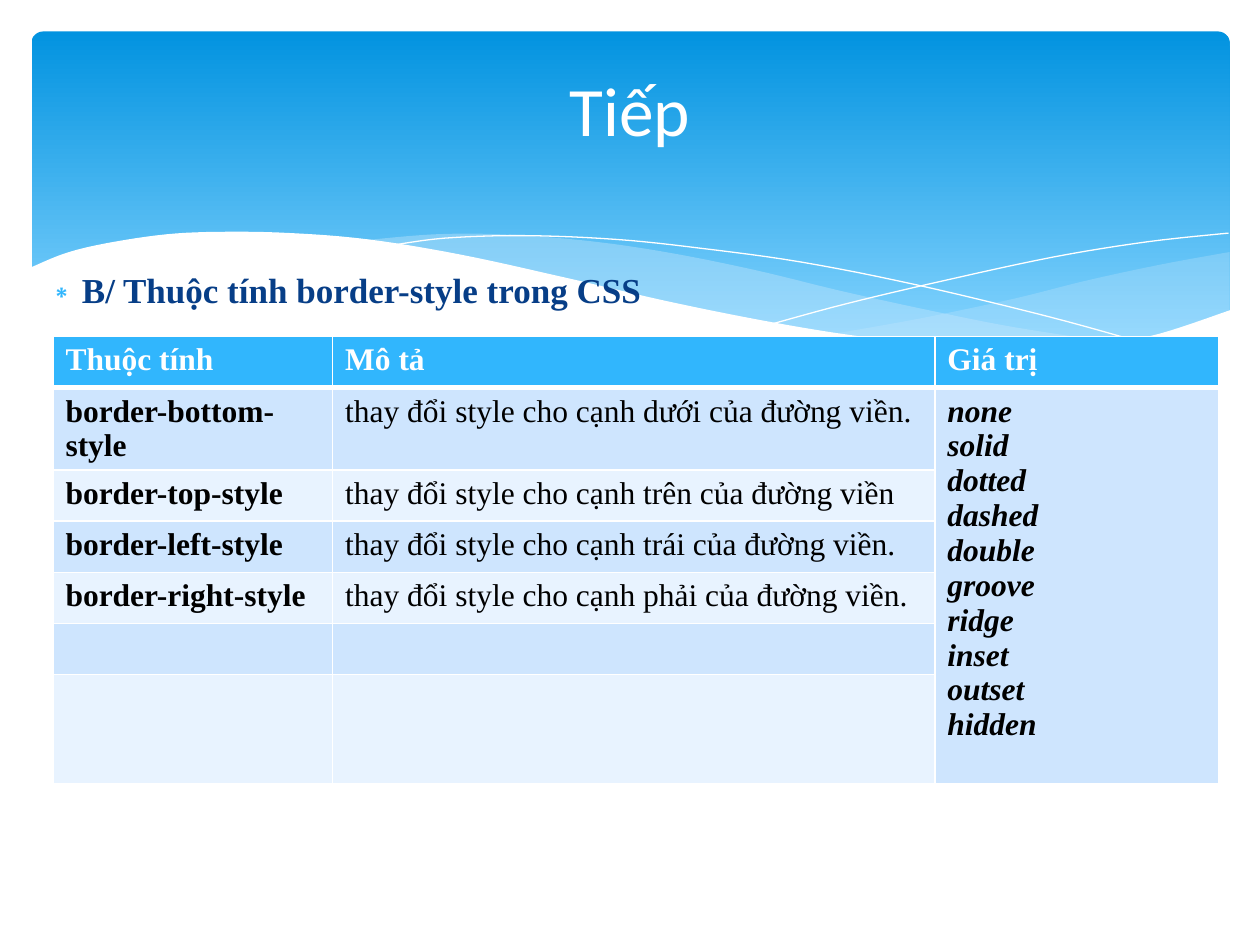
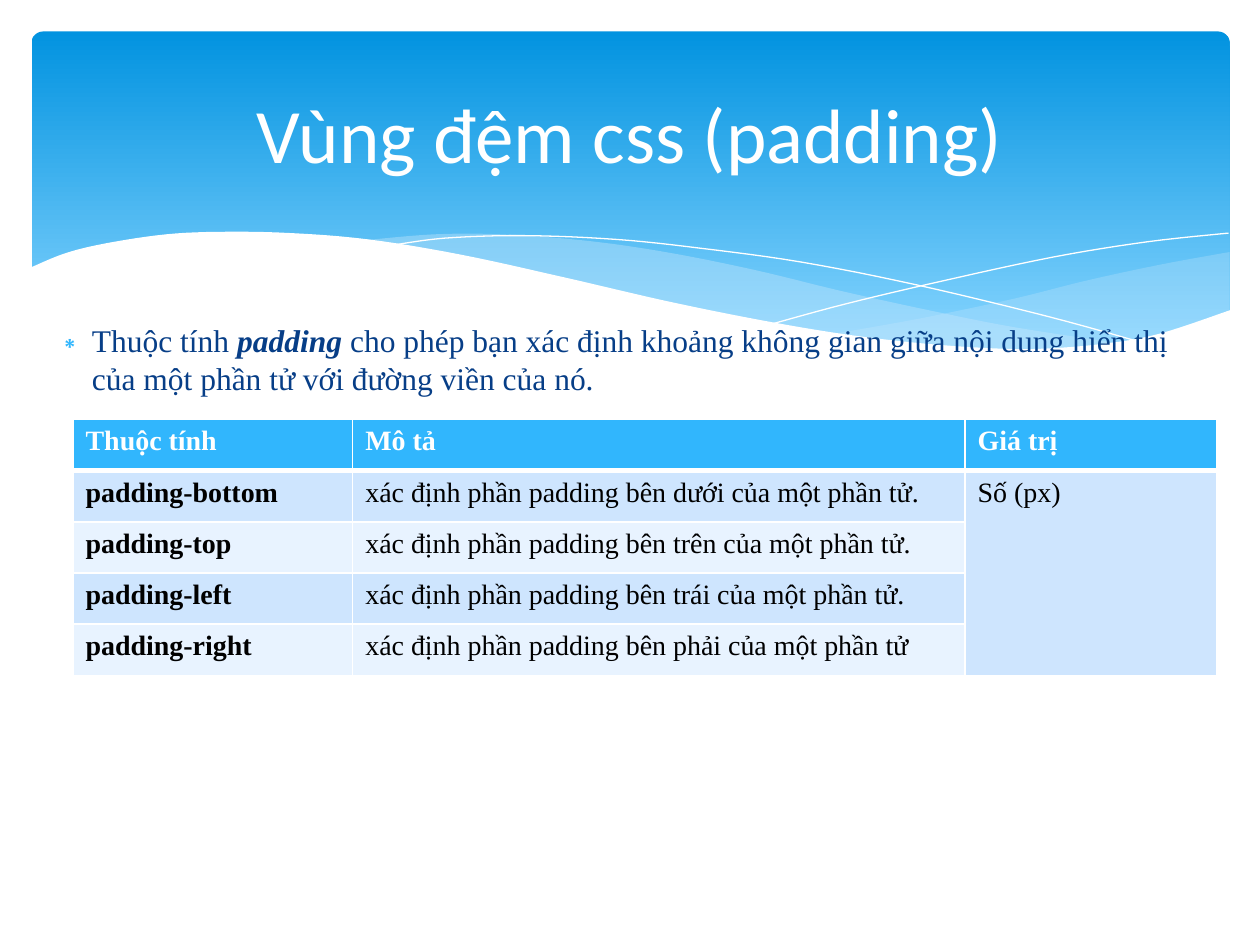
import dataclasses

import lxml.etree
import pptx
import pptx.dml.color
import pptx.enum.shapes
import pptx.enum.text
import pptx.oxml.ns
import pptx.util

Pt = pptx.util.Pt
qn = pptx.oxml.ns.qn


@dataclasses.dataclass(frozen=True)
class Theme:
    # Colours
    white: str = "FFFFFF"
    black: str = "000000"
    navy: str = "073E87"
    accent: str = "31B6FD"
    band_top: str = "0293E0"
    band_bottom: str = "83D3FE"
    veil: str = "C6E7FC"
    row_dark: str = "CEE5FE"
    row_light: str = "E8F3FF"
    # Type
    heading_font: str = "Calibri"
    text_font: str = "Times New Roman"
    title_size: float = 44
    small_title_size: float = 39.6
    lead_size: float = 20
    text_size: float = 18
    small_size: float = 16
    # Rules in points
    cell_rule: float = 1
    header_rule: float = 3


# The grid has 100 columns and 75 rows
COLUMNS, ROWS = 100, 75

# Wave outlines in grid units: each is a list of curves joined end to end
RIGHT_VEIL = [
    [(66.1, 26.5), (72.9, 25.3), (80.5, 23.7), (86.1, 22.3), (92.1, 21), (97.6, 20)],
    [(97.6, 24.7), (93.5, 26.2), (88.9, 27.2), (82.4, 27.7), (75.7, 27.6), (66.1, 26.5)],
]
LEFT_VEIL = [
    [(28.6, 19.1), (34.4, 18.6), (39.9, 18.6), (46.5, 19.1), (52.8, 20), (59.8, 21.4),
     (66.8, 23.1), (74.1, 24.7), (80.7, 26), (89.3, 27.3)],
    [(89.3, 27.3), (84.8, 27.7), (78.5, 27.8), (72.2, 27.4), (65, 26.4), (56.6, 24.8),
     (44.9, 22.2), (38.3, 20.7), (28.6, 19.1)],
]
FALLING_LINE = [
    [(30.9, 19.5), (35.3, 18.9), (41.6, 18.7), (48.9, 19), (55.6, 19.7), (63.6, 20.8),
     (72.7, 22.6), (83.1, 25.1), (90.7, 27.2)],
]
RISING_LINE = [
    [(61.3, 25.7), (67.2, 24.1), (74.8, 22.3), (83.6, 20.4), (91, 19.2), (97.5, 18.5)],
]
FRONT_WAVE = [
    [(2.3, 21.3), (5.2, 20.1), (8.5, 19.3), (13.2, 18.6), (17.7, 18.4), (23, 18.5),
     (29.2, 19), (36.5, 20.2), (44.7, 22), (52.9, 23.9), (60.3, 25.4), (66.8, 26.5),
     (72.6, 27.2), (77.8, 27.6), (82.3, 27.7), (87.5, 27.3), (92, 26.5), (97.7, 24.6)],
    [(97.7, 32.9), (2.3, 32.9)],
]


def smooth_curve(knots, steps=6):
    """Points of a Catmull-Rom curve through the knots."""
    if len(knots) < 3:
        return knots
    padded = [knots[0], *knots, knots[-1]]
    points = [knots[0]]
    for a, b, c, d in zip(padded, padded[1:], padded[2:], padded[3:]):
        for step in range(1, steps + 1):
            t = step / steps
            points.append(tuple(
                (2 * q + (r - p) * t + (2 * p - 5 * q + 4 * r - s) * t**2
                 + (3 * q - p - 3 * r + s) * t**3) / 2
                for p, q, r, s in zip(a, b, c, d)))
    return points


def rgb(colour):
    return pptx.dml.color.RGBColor.from_string(colour)


def write(paragraph, text, *, font, size, colour, bold=False, italic=False):
    run = paragraph.add_run()
    run.text = text
    run.font.name = font
    run.font.size = Pt(size)
    run.font.bold = bold
    run.font.italic = italic
    run.font.color.rgb = rgb(colour)


def add_xml(parent, tag, **attributes):
    return lxml.etree.SubElement(parent, qn(tag), attributes)


class Deck:
    def __init__(self, theme):
        self.theme = theme
        self.show = pptx.Presentation()
        self.show.slide_width = pptx.util.Inches(10)
        self.show.slide_height = pptx.util.Inches(7.5)
        self.layout = self.show.slide_layouts[1]
        self.slide = None

    def x(self, columns):
        return pptx.util.Emu(round(self.show.slide_width * columns / COLUMNS))

    def y(self, rows):
        return pptx.util.Emu(round(self.show.slide_height * rows / ROWS))

    def box(self, left, top, width, height):
        return self.x(left), self.y(top), self.x(width), self.y(height)

    def new_slide(self):
        self.slide = self.show.slides.add_slide(self.layout)

    # Shared backdrop
    def band(self):
        band = self.slide.shapes.add_shape(
            pptx.enum.shapes.MSO_SHAPE.ROUNDED_RECTANGLE, *self.box(2.5, 2.5, 95.1, 27))
        band.adjustments[0] = 0.034
        band.shadow.inherit = False
        band.line.fill.background()
        band.fill.gradient()
        band.fill.gradient_angle = 270
        top, bottom = band.fill.gradient_stops
        top.color.rgb, top.position = rgb(self.theme.band_top), 0
        bottom.color.rgb, bottom.position = rgb(self.theme.band_bottom), 0.9
        return band

    def wave(self, curves, fill=None, opacity=100):
        """A filled outline, or a white hairline when no fill is given."""
        points = [(self.x(column), self.y(row))
                  for curve in curves for column, row in smooth_curve(curve)]
        builder = self.slide.shapes.build_freeform(*points[0])
        builder.add_line_segments(points[1:], close=fill is not None)
        wave = builder.convert_to_shape()
        wave.shadow.inherit = False
        if fill is None:
            wave.fill.background()
            wave.line.color.rgb = rgb(self.theme.white)
            wave.line.width = 0
            return wave
        wave.line.fill.background()
        wave.fill.solid()
        wave.fill.fore_color.rgb = rgb(fill)
        if opacity < 100:
            colour = wave.element.spPr.find(qn("a:solidFill"))[0]
            add_xml(colour, "a:alpha", val=str(opacity * 1000))
        return wave

    def backdrop(self):
        """Draws the band and waves, then hands them to the layout."""
        parts = [
            self.band(),
            self.wave(RIGHT_VEIL, self.theme.veil, 29),
            self.wave(LEFT_VEIL, self.theme.veil, 40),
            self.wave(FALLING_LINE),
            self.wave(RISING_LINE),
            self.wave(FRONT_WAVE, self.theme.white),
        ]
        for order, part in enumerate(parts):
            part.element.xpath("./p:nvSpPr/p:cNvPr")[0].set("id", str(101 + order))
            self.layout.shapes.element.insert(2 + order, part.element)

    # Placeholders
    def place(self, holder, box, anchor):
        holder.left, holder.top, holder.width, holder.height = self.box(*box)
        frame = holder.text_frame
        frame.word_wrap = True
        frame.auto_size = pptx.enum.text.MSO_AUTO_SIZE.NONE
        frame.vertical_anchor = anchor
        return frame.paragraphs[0]

    def title(self, text, box, size):
        heading = self.place(self.slide.shapes.title, box,
                             pptx.enum.text.MSO_ANCHOR.MIDDLE)
        heading.alignment = pptx.enum.text.PP_ALIGN.CENTER
        write(heading, text, font=self.theme.heading_font, size=size,
              colour=self.theme.white)

    def bullet(self, pieces, box, size):
        """One bulleted paragraph made of (text, format) pieces."""
        point = self.place(self.slide.placeholders[1], box,
                           pptx.enum.text.MSO_ANCHOR.TOP)
        point.space_before = Pt(size * 0.2)
        for text, style in pieces:
            write(point, text, font=self.theme.text_font, size=size,
                  colour=self.theme.navy, **style)
        properties = point._p.get_or_add_pPr()
        properties.set("marL", str(self.x(3)))
        properties.set("indent", str(-self.x(3)))
        add_xml(add_xml(properties, "a:buClr"), "a:srgbClr", val=self.theme.accent)
        add_xml(properties, "a:buChar", char="∗")

    # Tables
    def cell(self, cell, lines, fill, top, bottom, **style):
        properties = cell._tc.get_or_add_tcPr()
        rule = self.theme.cell_rule
        for side, weight in (("L", rule), ("R", rule), ("T", top), ("B", bottom)):
            edge = add_xml(properties, f"a:ln{side}", w=str(Pt(weight)))
            add_xml(add_xml(edge, "a:solidFill"), "a:srgbClr", val=self.theme.white)
        cell.fill.solid()
        cell.fill.fore_color.rgb = rgb(fill)
        for number, line in enumerate(lines):
            frame = cell.text_frame
            paragraph = frame.add_paragraph() if number else frame.paragraphs[0]
            write(paragraph, line, font=self.theme.text_font, **style)

    def property_table(self, properties, values, left, top, widths, heights, size,
                       value_style):
        """Properties with descriptions; the values share one merged cell."""
        theme = self.theme
        table = self.slide.shapes.add_table(
            len(heights), len(widths),
            *self.box(left, top, sum(widths), sum(heights))).table
        table.horz_banding = False
        for column, width in zip(table.columns, widths):
            column.width = self.x(width)
        for row, height in zip(table.rows, heights):
            row.height = self.y(height)

        for c, heading in enumerate(("Thuộc tính", "Mô tả", "Giá trị")):
            self.cell(table.cell(0, c), [heading], theme.accent, theme.cell_rule,
                      theme.header_rule, size=size, colour=theme.white, bold=True)
        styles = ({"bold": True}, {}, value_style)
        for r in range(1, len(heights)):
            name_and_text = properties[r - 1] if r <= len(properties) else ()
            contents = [[text] for text in name_and_text] or [[], []]
            contents.append(values if r == 1 else [])
            row_fill = theme.row_dark if r % 2 else theme.row_light
            top_rule = theme.header_rule if r == 1 else theme.cell_rule
            for c, (lines, style) in enumerate(zip(contents, styles)):
                self.cell(table.cell(r, c), lines,
                          theme.row_dark if c == 2 else row_fill, top_rule,
                          theme.cell_rule, size=size, colour=theme.black, **style)
        table.cell(1, 2).merge(table.cell(len(heights) - 1, 2))


def main():
    theme = Theme()
    deck = Deck(theme)
    row = 4.06

    # Slide 1: border-style
    deck.new_slide()
    deck.backdrop()
    deck.title("Tiếp", (5, 5.8, 90, 5.6), theme.small_title_size)
    deck.bullet([("B/ Thuộc tính border-style trong CSS", {"bold": True})],
                (2.5, 20.8, 95, 52.9), theme.lead_size)
    edges = {"bottom": "dưới của đường viền.", "top": "trên của đường viền",
             "left": "trái của đường viền.", "right": "phải của đường viền."}
    deck.property_table(
        [(f"border-{edge}-style", f"thay đổi style cho cạnh {text}")
         for edge, text in edges.items()],
        ["none", "solid", "dotted", "dashed", "double",
         "groove", "ridge", "inset", "outset", "hidden"],
        left=4.2, top=26.7, widths=(22.2, 47.8, 22.5),
        heights=(row, 6.5, row, row, row, row, 8.7), size=theme.text_size,
        value_style={"bold": True, "italic": True})

    # Slide 2: padding
    deck.new_slide()
    deck.title("Vùng đệm css (padding)", (5, 3.7, 90, 13.7), theme.title_size)
    deck.bullet([("Thuộc tính ", {}),
                 ("padding", {"bold": True, "italic": True}),
                 (" cho phép bạn xác định khoảng không gian giữa nội dung hiển thị "
                  "của một phần tử với đường viền của nó.", {})],
                (3.3, 25, 94.2, 42), theme.text_size)
    sides = {"bottom": "dưới của một phần tử.", "top": "trên của một phần tử.",
             "left": "trái của một phần tử.", "right": "phải của một phần tử"}
    deck.property_table(
        [(f"padding-{side}", f"xác định phần padding bên {text}")
         for side, text in sides.items()],
        ["Số (px)"],
        left=5.8, top=33.3, widths=(22.2, 48.6, 20), heights=[row] * 5,
        size=theme.small_size, value_style={})

    deck.show.save("out.pptx")


if __name__ == "__main__":
    main()
